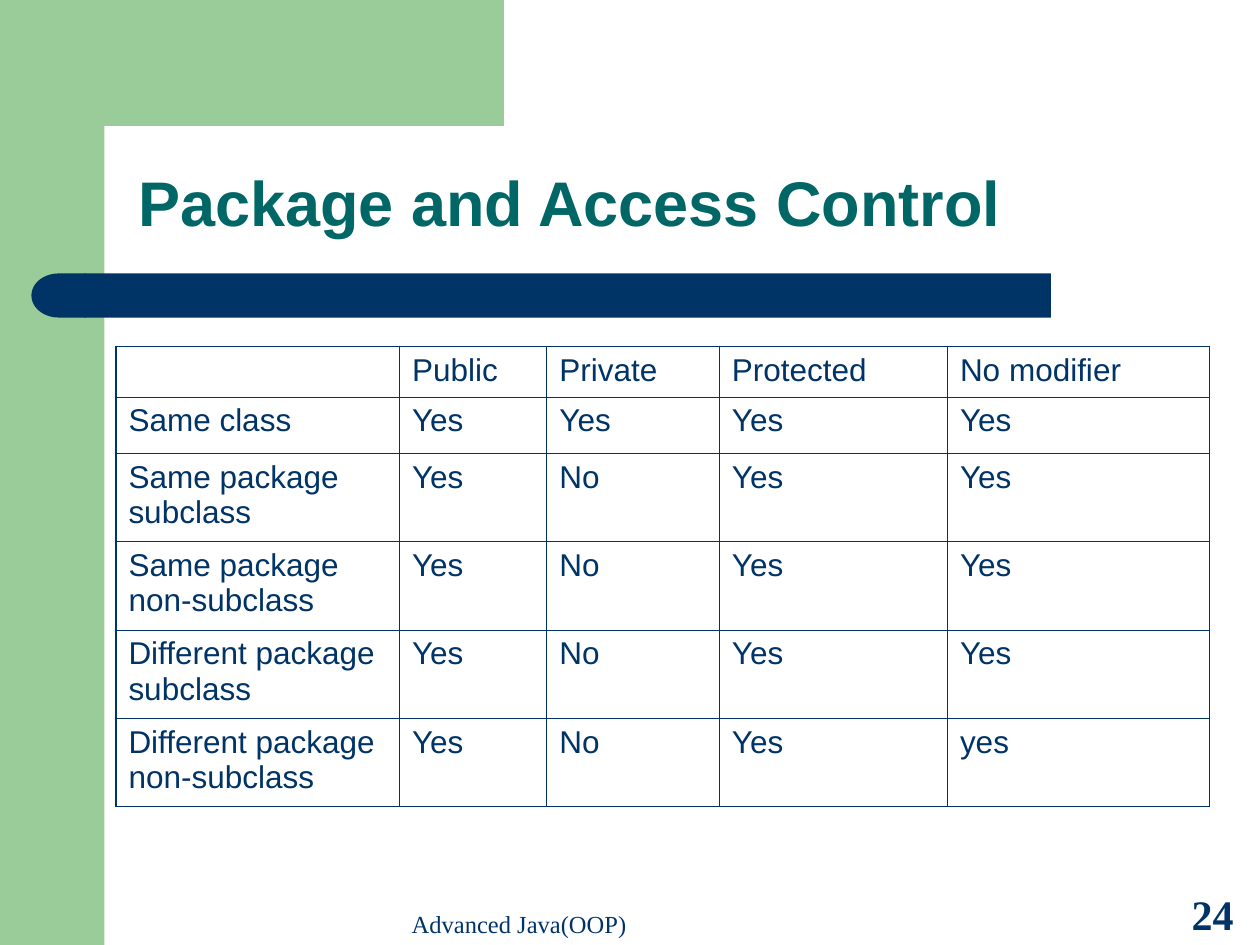
from dataclasses import dataclass
from math import cos, pi, sin

from lxml.etree import SubElement
from pptx import Presentation
from pptx.dml.color import RGBColor
from pptx.enum.shapes import MSO_SHAPE
from pptx.enum.text import MSO_ANCHOR, PP_ALIGN
from pptx.oxml.ns import qn
from pptx.util import Inches, Pt


@dataclass(frozen=True)
class Theme:
    green: str = "99CC99"
    navy: str = "003366"
    teal: str = "006666"
    sans: str = "Arial"
    serif: str = "Times New Roman"
    title_size: int = 36
    cell_size: int = 18
    footer_size: int = 14
    number_size: int = 24
    outer_border: float = 1.08
    inner_border: float = 0.45


THEME = Theme()

ACCESS_ROWS = [
    ("", "Public", "Private", "Protected", "No modifier"),
    ("Same class", "Yes", "Yes", "Yes", "Yes"),
    ("Same package subclass", "Yes", "No", "Yes", "Yes"),
    ("Same package non-subclass", "Yes", "No", "Yes", "Yes"),
    ("Different package subclass", "Yes", "No", "Yes", "Yes"),
    ("Different package non-subclass", "Yes", "No", "Yes", "yes"),
]
COLUMN_WIDTHS = [2.25, 1.17, 1.37, 1.81, 2.08]
ROW_HEIGHTS = [0.4, 0.45] + [0.7] * 4
TABLE_LEFT, TABLE_TOP = 0.92, 2.75

TEXTS = [
    ("Package and Access Control", (1, 1.25, 8, 0.7), THEME.sans, THEME.title_size,
     THEME.teal, True, PP_ALIGN.LEFT, MSO_ANCHOR.TOP),
    ("Advanced Java(OOP)", (0.83, 6.98, 6.58, 0.52), THEME.serif, THEME.footer_size,
     THEME.navy, False, PP_ALIGN.CENTER, MSO_ANCHOR.BOTTOM),
    ("24", (9.36, 6.97, 0.64, 0.53), THEME.serif, THEME.number_size,
     THEME.navy, True, PP_ALIGN.LEFT, MSO_ANCHOR.BOTTOM),
]

SIDE_WIDTH, CORNER_RADIUS, ARC_STEPS = 0.83, 0.33, 24


def paint(shape, color):
    shape.shadow.inherit = False
    shape.fill.solid()
    shape.fill.fore_color.rgb = RGBColor.from_string(color)
    shape.line.fill.background()


def add_block(page, kind, place, color):
    block = page.shapes.add_shape(kind, *map(Inches, place))
    paint(block, color)
    return block


def add_corner(page):
    center = SIDE_WIDTH + CORNER_RADIUS
    angles = [pi / 2 * step / ARC_STEPS for step in range(ARC_STEPS + 1)]
    arc = [(center - CORNER_RADIUS * sin(a), center - CORNER_RADIUS * cos(a)) for a in angles]
    outline = [(3.5, SIDE_WIDTH), *arc, (SIDE_WIDTH, 1.28), (0.5, 1.28), (0.5, 0)]
    builder = page.shapes.build_freeform(3.5, 0, scale=Inches(1))
    builder.add_line_segments(outline, close=True)
    paint(builder.convert_to_shape(), THEME.green)


def style_paragraph(para, font, size, color, bold=False):
    para.font.name = font
    para.font.size = Pt(size)
    para.font.bold = bold
    para.font.color.rgb = RGBColor.from_string(color)


def add_text(page, text, place, font, size, color, bold, align, anchor):
    frame = page.shapes.add_textbox(*map(Inches, place)).text_frame
    frame.word_wrap = True
    frame.vertical_anchor = anchor
    para = frame.paragraphs[0]
    para.text = text
    para.alignment = align
    style_paragraph(para, font, size, color, bold)


def add_borders(cell, outer_sides):
    properties = cell._tc.get_or_add_tcPr()
    for side, is_outer in outer_sides.items():
        width = THEME.outer_border if is_outer else THEME.inner_border
        line = SubElement(properties, qn(f"a:ln{side}"), w=str(Pt(width)))
        fill = SubElement(line, qn("a:solidFill"))
        SubElement(fill, qn("a:srgbClr"), val=THEME.navy)


def add_access_table(page):
    last_row, last_column = len(ROW_HEIGHTS) - 1, len(COLUMN_WIDTHS) - 1
    place = (TABLE_LEFT, TABLE_TOP, sum(COLUMN_WIDTHS), sum(ROW_HEIGHTS))
    table = page.shapes.add_table(last_row + 1, last_column + 1, *map(Inches, place)).table
    table.first_row = table.horz_banding = False
    for column, width in zip(table.columns, COLUMN_WIDTHS):
        column.width = Inches(width)
    for row, height in zip(table.rows, ROW_HEIGHTS):
        row.height = Inches(height)
    for r, texts in enumerate(ACCESS_ROWS):
        for c, text in enumerate(texts):
            cell = table.cell(r, c)
            para = cell.text_frame.paragraphs[0]
            para.text = text
            para.space_before = Pt(4.5)
            style_paragraph(para, THEME.sans, THEME.cell_size, THEME.navy)
            add_borders(cell, {"L": c == 0, "R": c == last_column,
                               "T": r == 0, "B": r == last_row})
            cell.fill.background()


def main():
    """Build the access control slide and save it."""
    deck = Presentation()
    deck.slide_width, deck.slide_height = Inches(10), Inches(7.5)
    page = deck.slides.add_slide(deck.slide_layouts[6])
    add_block(page, MSO_SHAPE.RECTANGLE, (0, 0, SIDE_WIDTH, 7.5), THEME.green)
    add_corner(page)
    bar = add_block(page, MSO_SHAPE.ROUNDED_RECTANGLE, (0.67, 2.17, 7.67, 0.35), THEME.navy)
    bar.adjustments[0] = 0
    cap = add_block(page, MSO_SHAPE.FLOWCHART_DELAY, (0.25, 2.17, 0.43, 0.35), THEME.navy)
    cap.element.spPr.find(qn("a:xfrm")).set("flipH", "1")
    add_access_table(page)
    for item in TEXTS:
        add_text(page, *item)
    deck.save("out.pptx")


if __name__ == "__main__":
    main()
